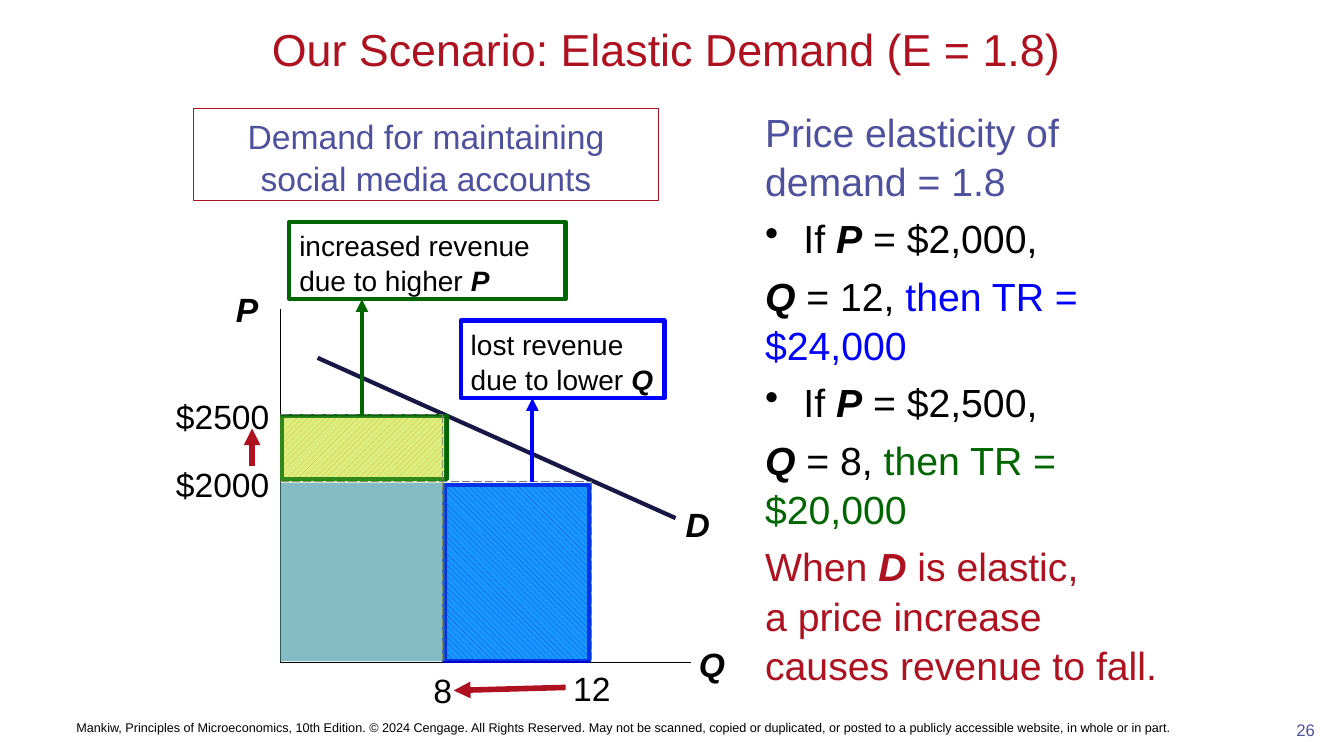
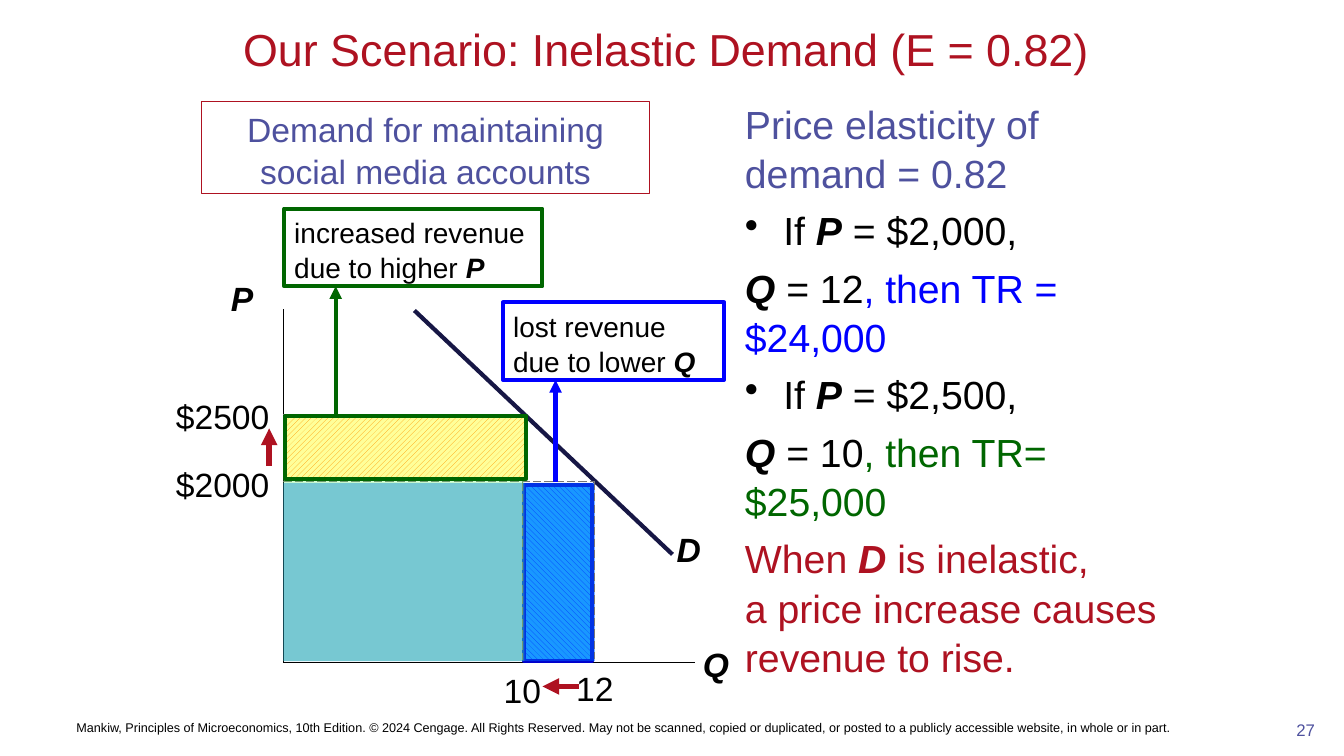
from dataclasses import dataclass
from lxml.etree import SubElement
from pptx import Presentation
from pptx.dml.color import RGBColor
from pptx.enum.dml import MSO_LINE as Dash, MSO_PATTERN as Hatch
from pptx.enum.shapes import MSO_CONNECTOR as Link, MSO_SHAPE as Form
from pptx.enum.text import MSO_ANCHOR as Anchor, PP_ALIGN as Align
from pptx.oxml.ns import qn
from pptx.util import Emu, Pt

PX = 9144
FONT = "Arial"
RED, VIOLET, BLACK, WHITE = "AE1221", "4E519E", "000000", "FFFFFF"
BLUE, GREEN, NAVY, GRAY = "0000FF", "006600", "171745", "777777"
NOTICE = (
    "Mankiw, Principles of Microeconomics, 10th Edition. © 2024 Cengage. "
    "All Rights Reserved. May not be scanned, copied or duplicated, or posted "
    "to a publicly accessible website, in whole or in part."
)


@dataclass
class Case:
    page: int
    title: str
    body: tuple
    paras: list
    head: tuple
    plot: tuple
    cut: int
    sold: str
    curve: tuple
    price: tuple
    name: tuple
    gain: tuple
    lost: tuple
    gain_x: int
    lost_x: int
    rise: int
    fall: tuple
    tint: tuple
    gain_top: bool


def px(*nums):
    return [Emu(n * PX) for n in nums]


def hue(code):
    return RGBColor.from_string(code)


def write(para, text, size, color, align=Align.LEFT, gap=0, dot=False):
    para.alignment = align
    para.line_spacing = 1.05
    para.space_before = Pt(gap)
    if dot:
        props = para._p.get_or_add_pPr()
        props.set("marL", str(38 * PX))
        props.set("indent", str(-38 * PX))
        SubElement(props, qn("a:buChar")).set("char", "•")
    font = para.font
    font.name, font.size = FONT, Pt(size)
    font.color.rgb = hue(color)
    runs = [(text, color)] if isinstance(text, str) else text
    for words, shade in runs:
        for i, part in enumerate(words.split("*")):
            for j, line in enumerate(part.split("\n")):
                if j:
                    para.add_line_break()
                if line:
                    run = para.add_run()
                    run.text = line
                    if i % 2:
                        run.font.bold = run.font.italic = True
                    if shade != color:
                        run.font.color.rgb = hue(shade)


def label(slide, box, text, size, color=BLACK, align=Align.CENTER, anchor=Anchor.TOP):
    frame = slide.shapes.add_textbox(*px(*box)).text_frame
    frame.word_wrap = True
    frame.vertical_anchor = anchor
    write(frame.paragraphs[0], text, size, color, align)
    return frame


def tick(slide, mid, top, text):
    label(slide, (mid - 36, top, 72, 50), text, 24)


def block(slide, box, fill=None, line=None, width=3, alpha=None, hatch=None):
    shape = slide.shapes.add_shape(Form.RECTANGLE, *px(*box))
    shape.shadow.inherit = False
    if hatch:
        kind, fore, back = hatch
        shape.fill.patterned()
        shape.fill.pattern = kind
        shape.fill.fore_color.rgb = hue(fore)
        shape.fill.back_color.rgb = hue(back)
    elif fill:
        shape.fill.solid()
        shape.fill.fore_color.rgb = hue(fill)
        if alpha:
            tone = shape.element.spPr.find(".//" + qn("a:srgbClr"))
            SubElement(tone, qn("a:alpha")).set("val", str(alpha * 1000))
    else:
        shape.fill.background()
    if line:
        shape.line.color.rgb = hue(line)
        shape.line.width = Pt(width)
    else:
        shape.line.fill.background()
    return shape


def note(slide, box, text, size, color, edge, width=3, align=Align.LEFT):
    frame = block(slide, box, WHITE, edge, width).text_frame
    frame.word_wrap = True
    frame.vertical_anchor = Anchor.TOP
    write(frame.paragraphs[0], text, size, color, align)


def stroke(slide, ends, color, width, dash=None, arrow=False):
    line = slide.shapes.add_connector(Link.STRAIGHT, *px(*ends))
    line.line.color.rgb = hue(color)
    line.line.width = Pt(width)
    if dash:
        line.line.dash_style = dash
    if arrow:
        SubElement(line.line._get_or_add_ln(), qn("a:tailEnd")).set("type", "triangle")
    SubElement(line.element.spPr, qn("a:effectLst"))


def guide(slide, left, top, right, base):
    for ends in ((left, top, right, top), (right, top, right, base)):
        stroke(slide, ends, GRAY, 0.75, Dash.LONG_DASH)


def graph(slide, case):
    left, top, wide, high = case.plot
    base = top + high
    dear, cheap = top + 104, top + 171
    cut, full = left + case.cut, left + 309

    stroke(slide, (left, top, left, base), BLACK, 1)
    stroke(slide, (left, base, left + wide, base), BLACK, 1)
    tick(slide, *case.price, "*P*")
    tick(slide, left + wide + 21, base - 25, "*Q*")
    stroke(slide, case.curve, NAVY, 3)
    tick(slide, *case.name, "*D*")

    def gain():
        block(slide, (left + 2, dear + 2, case.cut, 62), line=GREEN,
              hatch=(Hatch.WIDE_UPWARD_DIAGONAL, "FF9900", "FFFF99"))

    block(slide, (cut, cheap + 3, full - cut - 3, 175), line="0000CC",
          hatch=(Hatch.WIDE_DOWNWARD_DIAGONAL, BLUE, "33CCFF"))
    if not case.gain_top:
        gain()
    note(slide, case.lost, "lost revenue due to lower *Q*", 20, BLACK, BLUE)
    note(slide, case.gain, "increased revenue due to higher *P*", 20, BLACK, GREEN)
    note(slide, case.head, "Demand for maintaining social media accounts",
         24, VIOLET, RED, 0.75, Align.CENTER)

    block(slide, (left, cheap + 1, 309, 177), "0066FF", alpha=50)
    for y, cost in ((cheap, "$2000"), (dear, "$2500")):
        label(slide, (140, y - 25, 137, 50), cost, 24, align=Align.RIGHT)
    guide(slide, left, cheap, full, base - 3)
    guide(slide, left, dear, cut - 2, base - 2)
    tick(slide, full, base - 1, "12")
    tick(slide, cut - 2, base + 1, case.sold)
    tint, alpha = case.tint
    block(slide, (left, dear + 2, case.cut, 243), tint, alpha=alpha)

    stroke(slide, (case.rise, dear + 51, case.rise, dear + 14), RED, 4, arrow=True)
    stroke(slide, case.fall, RED, 4, arrow=True)
    for x, start, box, color in (
        (case.gain_x, dear + 2, case.gain, GREEN),
        (case.lost_x, cheap, case.lost, BLUE),
    ):
        stroke(slide, (x, start, x, box[1] + box[3]), color, 3, arrow=True)
    if case.gain_top:
        gain()


def prose(slide, case):
    frame = slide.shapes.add_textbox(*px(*case.body)).text_frame
    frame.word_wrap = True
    for i, text in enumerate(case.paras):
        para = frame.add_paragraph() if i else frame.paragraphs[0]
        color = text[0][1]
        write(para, text, 28, color, gap=5.6 if i else 0,
              dot=text[0][0].startswith("If"))


def frame_up(slide, case):
    label(slide, (11, 11, 1300, 72), case.title, 32, RED, anchor=Anchor.MIDDLE)
    label(slide, (1257, 708, 76, 41), str(case.page), 12, VIOLET)
    label(slide, (66, 692, 1211, 58), NOTICE, 9, align=Align.LEFT, anchor=Anchor.MIDDLE)


def points(rate, old, new, end):
    return [
        [(f"Price elasticity of demand = {rate}", VIOLET)],
        [("If *P* = $2,000,", BLACK)],
        [(old[0], BLACK), (old[1], BLUE)],
        [("If *P* = $2,500,", BLACK)],
        [(new[0], BLACK), (new[1], GREEN)],
        [(end, RED)],
    ]


CASES = [
    Case(
        page=26, title="Our Scenario: Elastic Demand (E = 1.8)",
        body=(749, 100, 419, 608),
        paras=points(
            "1.8", ("*Q* = 12, ", "then TR = $24,000"),
            ("*Q* = 8, ", "then TR = $20,000"),
            "When *D* is elastic,\na price increase causes revenue to fall."),
        head=(192, 108, 461, 91), plot=(278, 307, 407, 350), cut=163, sold="8",
        curve=(315, 355, 670, 514), price=(245, 280), name=(692, 493),
        gain=(287, 220, 274, 77), lost=(457, 318, 202, 77),
        gain_x=359, lost_x=528, rise=250, fall=(561, 682, 450, 685),
        tint=("92D050", 33), gain_top=False,
    ),
    Case(
        page=27, title="Our Scenario: Inelastic Demand (E = 0.82)",
        body=(729, 92, 431, 616),
        paras=points(
            "0.82", ("*Q* = 12", ", then TR = $24,000"),
            ("*Q* = 10", ", then TR= $25,000"),
            "When *D* is inelastic,\na price increase causes revenue to rise."),
        head=(200, 101, 444, 91), plot=(281, 307, 408, 350), cut=239, sold="10",
        curve=(411, 308, 667, 550), price=(240, 269), name=(683, 518),
        gain=(282, 207, 256, 77), lost=(499, 300, 219, 77),
        gain_x=333, lost_x=551, rise=267, fall=(574, 681, 538, 681),
        tint=("66FF66", 29), gain_top=True,
    ),
]


def main():
    deck = Presentation()
    deck.slide_width, deck.slide_height = px(1333, 750)
    for case in CASES:
        slide = deck.slides.add_slide(deck.slide_layouts[6])
        frame_up(slide, case)
        prose(slide, case)
        graph(slide, case)
    deck.save("out.pptx")


if __name__ == "__main__":
    main()
